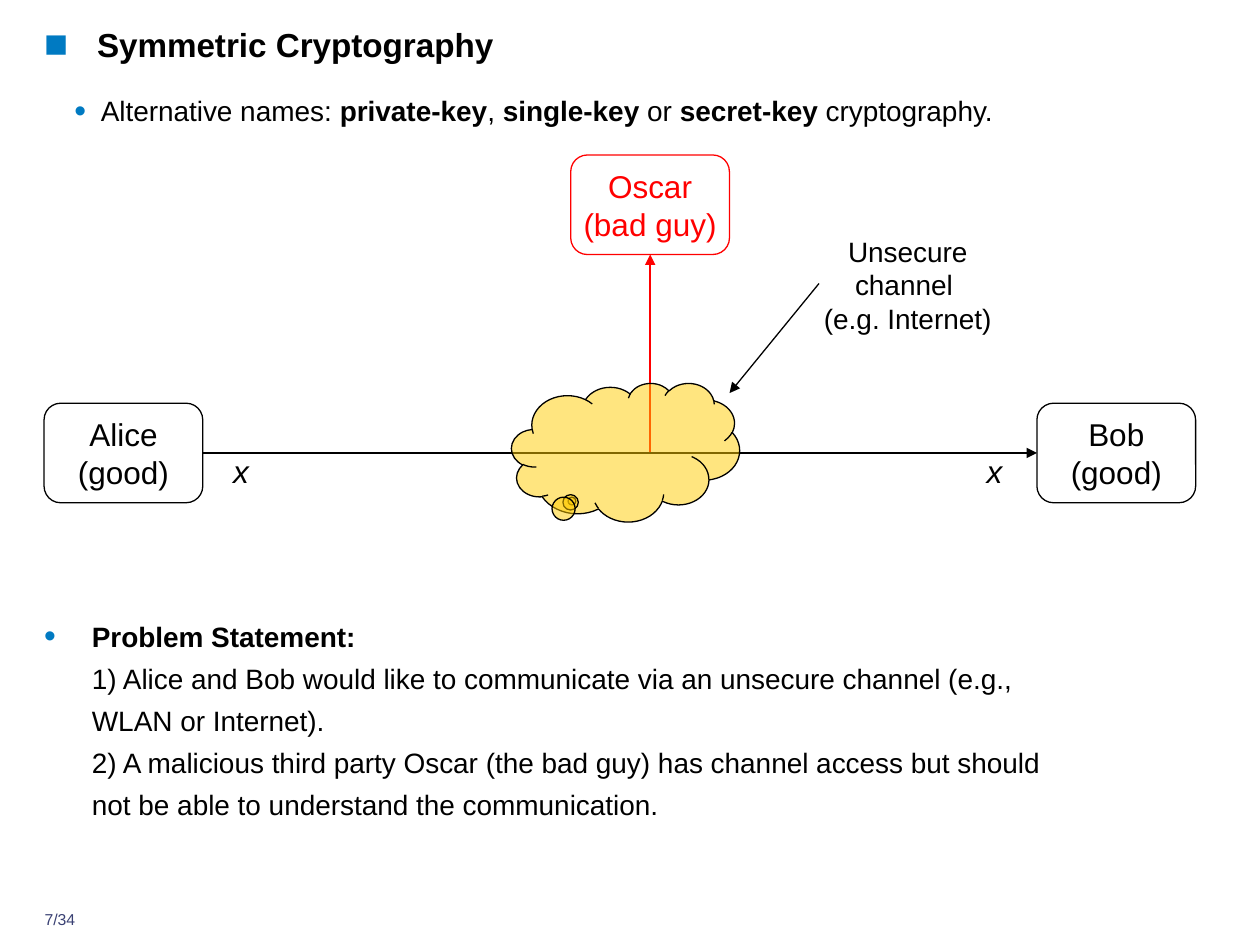
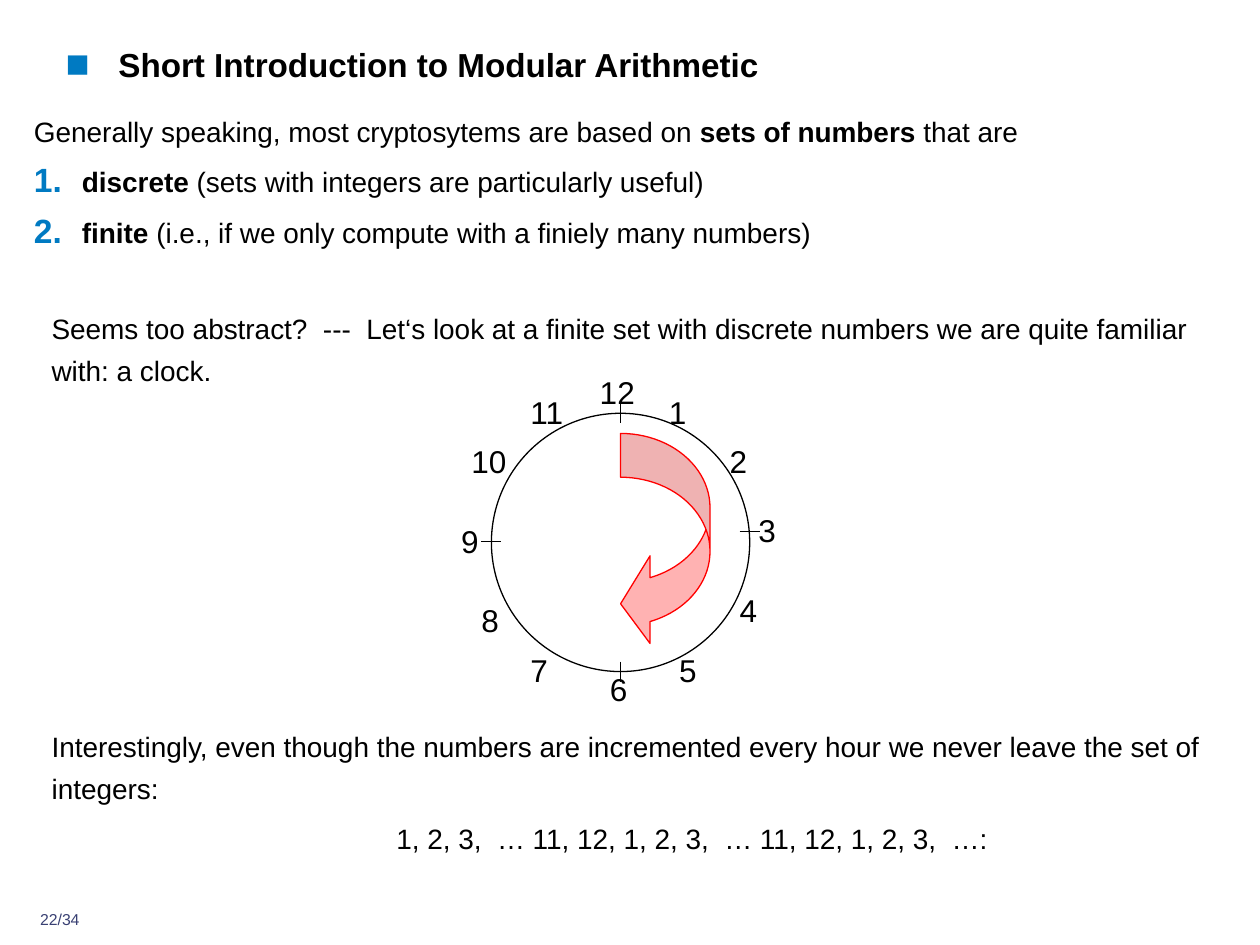
import pptx
import pptx.dml.color
import pptx.enum.dml
import pptx.enum.shapes
import pptx.enum.text
import pptx.oxml
import pptx.oxml.ns
import pptx.util

Inches = pptx.util.Inches
Shapes = pptx.enum.shapes.MSO_SHAPE
Align = pptx.enum.text.PP_ALIGN
Anchor = pptx.enum.text.MSO_ANCHOR

FONT = "Arial"
BLACK, BLUE, NAVY, RED, YELLOW = "000000", "007AC2", "394073", "FF0000", "FFCC00"
SQUARE = '<a:buChar {} char="■"/>'
DOT = '<a:buChar {} char="•"/>'
NUMBER = '<a:buAutoNum {} type="arabicPeriod"/>'
BODY = {"line_spacing": 1.25, "space_before": pptx.util.Pt(5)}


def color(value):
    """Turn a hex string into a colour."""
    return pptx.dml.color.RGBColor.from_string(value)


def xml(markup):
    """Parse a drawing element whose namespace slot is {}."""
    return pptx.oxml.parse_xml(markup.format(pptx.oxml.ns.nsdecls("a")))


def set_values(target, values):
    """Set each attribute named in a dict of format values."""
    for name, value in values.items():
        setattr(target, name, value)


def add_bullet(paragraph, marker, indent):
    """Give a paragraph a hanging indent and, if set, a blue marker."""
    properties = paragraph._p.get_or_add_pPr()
    properties.set("marL", str(Inches(indent)))
    properties.set("indent", str(-Inches(indent)))
    if marker:
        properties.append(xml(f'<a:buClr {{}}><a:srgbClr val="{BLUE}"/></a:buClr>'))
        properties.append(xml('<a:buSzPct {} val="120000"/>'))
        properties.append(xml(f'<a:buFont {{}} typeface="{FONT}"/>'))
        properties.append(xml(marker))


def write(paragraph, text, size, ink=BLACK, italic=False, layout=None):
    """Write text into a paragraph; parts between asterisks are bold."""
    set_values(paragraph, layout or {})
    font_values = {"name": FONT, "size": pptx.util.Pt(size), "italic": italic}
    for index, part in enumerate(text.split("*")):
        for line_index, line in enumerate(part.split("\n")):
            if line_index:
                paragraph.add_line_break()
            if line:
                run = paragraph.add_run()
                run.text = line
                set_values(run.font, {**font_values, "bold": index % 2 == 1})
                run.font.color.rgb = color(ink)


def prepare_frame(frame, wrap=True, anchor=Anchor.TOP):
    """Remove the margins of a text frame and return its first paragraph."""
    margins = {f"margin_{side}": 0 for side in ("left", "top", "right", "bottom")}
    set_values(frame, {**margins, "word_wrap": wrap, "vertical_anchor": anchor,
                       "auto_size": pptx.enum.text.MSO_AUTO_SIZE.NONE})
    return frame.paragraphs[0]


def add_text(slide, box, text, size, wrap=True, **style):
    """Add a text box with one paragraph and return its frame."""
    frame = slide.shapes.add_textbox(*map(Inches, box)).text_frame
    write(prepare_frame(frame, wrap), text, size, **style)
    return frame


def add_shape(slide, kind, box, line, fill=None, opacity=100, adjustments=()):
    """Add an outlined preset shape with an optional translucent fill."""
    shape = slide.shapes.add_shape(kind, *map(Inches, box))
    shape.shadow.inherit = False
    shape.line.color.rgb = color(line)
    shape.line.width = pptx.util.Pt(0.75)
    for index, value in enumerate(adjustments):
        shape.adjustments[index] = value
    if fill:
        shape.fill.solid()
        shape.fill.fore_color.rgb = color(fill)
        fill_color = shape.fill._xPr.find(".//" + pptx.oxml.ns.qn("a:srgbClr"))
        fill_color.append(xml(f'<a:alpha {{}} val="{opacity * 1000}"/>'))
    else:
        shape.fill.background()
    return shape


def add_line(slide, start, end, ink=BLACK, arrow=False):
    """Add a thin straight line, with an arrowhead at its end if asked."""
    line = slide.shapes.add_connector(
        pptx.enum.shapes.MSO_CONNECTOR.STRAIGHT, *map(Inches, (*start, *end)))
    line.line.color.rgb = color(ink)
    line.line.width = pptx.util.Pt(0.75)
    if arrow:
        line.line._get_or_add_ln().append(xml('<a:tailEnd {} type="triangle"/>'))
    line._element.spPr.append(xml("<a:effectLst {}/>"))
    return line


def add_slide(presentation, title, left, top, page):
    """Add a slide with its bulleted title and page number."""
    slide = presentation.slides.add_slide(presentation.slide_layouts[5])
    placeholder = slide.shapes.title
    set_values(placeholder, {"left": Inches(left), "top": Inches(top),
                             "width": Inches(7.07), "height": Inches(0.56)})
    paragraph = prepare_frame(placeholder.text_frame)
    write(paragraph, f"*{title}*", 19,
          layout={"alignment": Align.LEFT, "space_before": pptx.util.Pt(4.8)})
    add_bullet(paragraph, SQUARE, 0.42)
    add_text(slide, (0.2, 7.22, 0.55, 0.24), f"{page}/34", 9, ink=NAVY,
             layout={"alignment": Align.CENTER})
    return slide


def add_party(slide, left, top, label, ink=BLACK):
    """Add the rounded box of one party in the communication."""
    party = add_shape(slide, Shapes.ROUNDED_RECTANGLE, (left, top, 1.26, 0.79), ink,
                      adjustments=[0.167])
    paragraph = prepare_frame(party.text_frame, anchor=Anchor.MIDDLE)
    write(paragraph, label, 18, ink=ink, layout={"alignment": Align.CENTER})
    return party


def draw_channel(slide, left, top):
    """Draw Alice, Bob and Oscar around the unsecure channel."""
    alice = add_party(slide, left, top + 1.97, "Alice\n(good)")
    bob = add_party(slide, left + 7.88, top + 1.97, "Bob\n(good)")
    oscar = add_party(slide, left + 4.18, top, "Oscar\n(bad guy)", RED)
    middle = top + 2.36
    message = add_line(slide, (left + 1.26, middle), (left + 7.88, middle), arrow=True)
    message.begin_connect(alice, 3)
    message.end_connect(bob, 1)
    tap = add_line(slide, (left + 4.81, middle), (left + 4.81, top + 0.79), RED, True)
    tap.end_connect(oscar, 2)
    for offset in (1.5, 7.48):
        add_text(slide, (left + offset, middle, 0.13, 0.3), "x", 18, wrap=False, italic=True)
    add_shape(slide, Shapes.CLOUD_CALLOUT, (left + 3.71, top + 1.81, 1.81, 1.1), BLACK,
              YELLOW, 50, [-0.235, 0.352])
    add_line(slide, (left + 6.15, top + 1.02), (left + 5.44, top + 1.89), arrow=True)
    add_text(slide, (left + 5.99, top + 0.63, 1.73, 0.8),
             "Unsecure channel \n(e.g. Internet)", 16, layout={"alignment": Align.CENTER})


def draw_clock(slide, left, top):
    """Draw the clock face, its numbers, ticks and turning arrow."""
    size, tick = 2.05, 0.08
    center = left + size / 2
    add_shape(slide, Shapes.OVAL, (left, top, size, size), BLACK)
    number_places = [(1.41, -0.16), (1.89, 0.23), (2.12, 0.78), (1.97, 1.41),
                     (1.49, 1.89), (0.94, 2.04), (0.31, 1.89), (-0.08, 1.49),
                     (-0.24, 0.86), (-0.16, 0.23), (0.31, -0.16), (0.86, -0.32)]
    for hour, (across, down) in enumerate(number_places, 1):
        label = str(hour)
        add_text(slide, (left + across, top + down, 0.14 * len(label), 0.3), label, 18,
                 wrap=False)
    for y in (top, top + size):
        add_line(slide, (center, y - tick), (center, y + tick))
    for x, y in ((left + size, top + 0.94), (left, top + 1.02)):
        add_line(slide, (x - tick, y), (x + tick, y))
    add_shape(slide, Shapes.CURVED_LEFT_ARROW, (center, top + 0.16, 0.71, 1.7), RED,
              RED, 30, [0.49, 0.98, 0.33])


def build_cryptography(presentation):
    """Build the slide on symmetric cryptography."""
    slide = add_slide(presentation, "Symmetric Cryptography", 0.35, 0.19, 7)
    names = add_text(
        slide, (0.59, 0.68, 7.93, 0.74),
        "Alternative names: *private-key*, *single-key *or *secret-key *cryptography.",
        16, layout=BODY)
    add_bullet(names.paragraphs[0], DOT, 0.21)
    draw_channel(slide, 0.35, 1.23)
    problem = add_text(
        slide, (0.35, 4.85, 7.93, 1.67),
        "*Problem Statement: \n*1) Alice and Bob would like to communicate via an unsecure "
        "channel (e.g., WLAN or Internet). \n2) A malicious third party Oscar (the bad guy) "
        "has channel access but should not be able to understand the communication.",
        16, layout=BODY)
    add_bullet(problem.paragraphs[0], DOT, 0.38)


def build_modular_arithmetic(presentation):
    """Build the slide that introduces modular arithmetic with a clock."""
    slide = add_slide(presentation, "Short Introduction to Modular Arithmetic", 0.52, 0.35, 22)
    draw_clock(slide, 3.9, 3.28)
    sets = add_text(
        slide, (0.27, 0.84, 9.17, 1.54),
        "Generally speaking, most cryptosytems are based on *sets of numbers* that are",
        16, layout=BODY)
    add_bullet(sets.paragraphs[0], None, 0.38)
    for text in ("*discrete* (sets with integers are particularly useful)",
                 "*finite* (i.e., if we only compute with a finiely many numbers)"):
        paragraph = sets.add_paragraph()
        write(paragraph, text, 16, layout=BODY)
        add_bullet(paragraph, NUMBER, 0.38)
    add_text(slide, (0.41, 2.41, 9.17, 1.07),
             "Seems too abstract?  ---  Let‘s look at a finite set with discrete numbers "
             "we are quite familiar with: a clock.", 16, layout=BODY)
    closing = add_text(
        slide, (0.41, 5.72, 9.17, 1.47),
        "Interestingly, even though the numbers are incremented every hour we never leave "
        "the set of integers:", 16, layout=BODY)
    sequence = closing.add_paragraph()
    write(sequence, "1, 2, 3,  … 11, 12, 1, 2, 3,  … 11, 12, 1, 2, 3,  …:", 16,
          layout={**BODY, "alignment": Align.CENTER})
    sequence._p.get_or_add_pPr().set("marL", str(Inches(1)))


def main():
    """Build and save the presentation."""
    presentation = pptx.Presentation()
    presentation.slide_width = Inches(10)
    presentation.slide_height = Inches(7.5)
    build_cryptography(presentation)
    build_modular_arithmetic(presentation)
    presentation.save("out.pptx")


if __name__ == "__main__":
    main()
